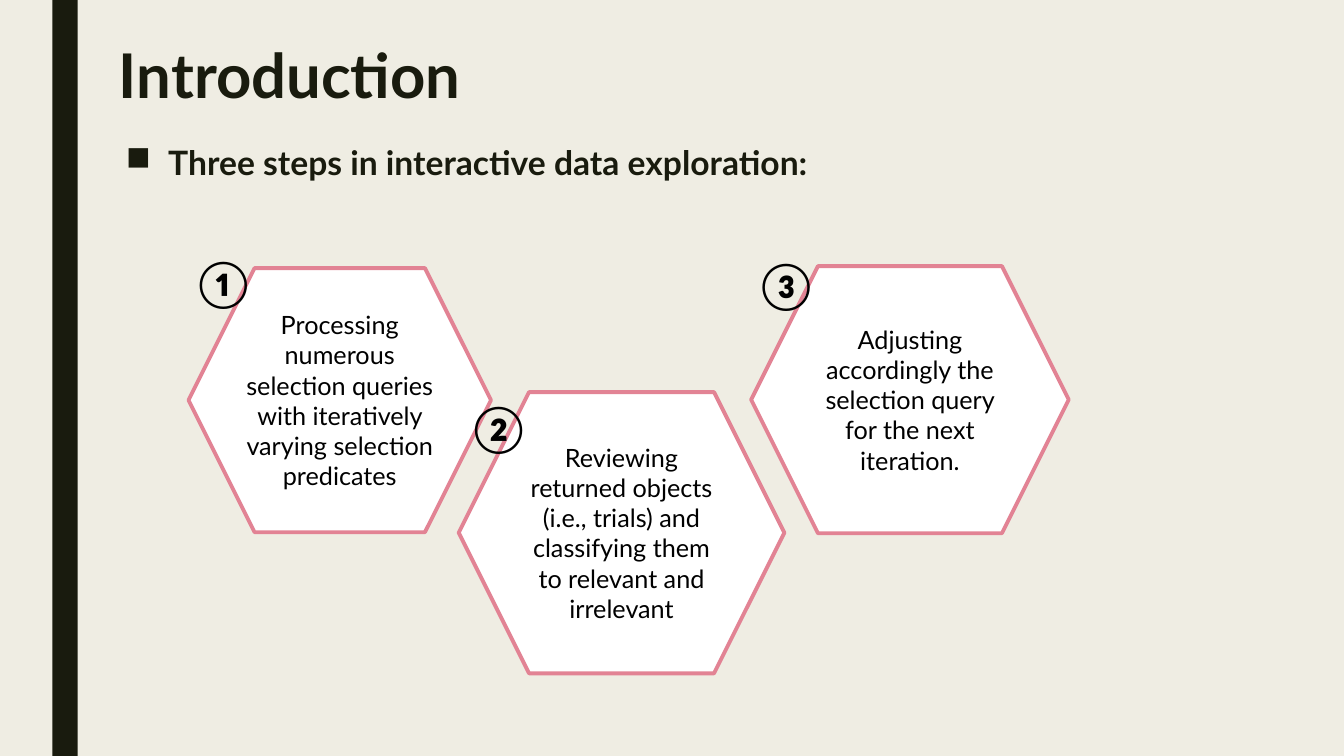
from dataclasses import dataclass

from lxml import etree
from pptx import Presentation
from pptx.dml.color import RGBColor
from pptx.enum import shapes, text
from pptx.oxml import ns
from pptx.util import Inches, Pt


@dataclass(frozen=True)
class Theme:
    font: str = "Lato"
    background: RGBColor = RGBColor(0xEF, 0xED, 0xE3)
    ink: RGBColor = RGBColor(0x19, 0x1B, 0x0E)
    black: RGBColor = RGBColor(0, 0, 0)
    white: RGBColor = RGBColor(0xFF, 0xFF, 0xFF)
    pink: RGBColor = RGBColor(0xE2, 0x83, 0x94)
    outline: float = 2.75
    title_size: int = 44
    lead_size: int = 24
    number_size: int = 32
    step_size: int = 18


@dataclass(frozen=True)
class Box:
    left: float
    top: float
    width: float
    height: float

    def lengths(self) -> tuple:
        return tuple(Inches(v) for v in (self.left, self.top, self.width, self.height))


@dataclass(frozen=True)
class Step:
    number: str
    label: str
    hexagon: Box
    number_box: Box


THEME = Theme()
STEPS = [
    Step("①", "Processing numerous selection queries with iteratively varying selection predicates",
         Box(1.87, 2.66, 3, 2.62), Box(1.87, 2.49, 1.98, 0.65)),
    Step("②", "Reviewing returned objects (i.e., trials) and classifying them to relevant and irrelevant",
         Box(4.55, 3.89, 3.23, 2.79), Box(4.6, 3.93, 0.46, 0.65)),
    Step("③", "Adjusting accordingly the selection query for the next iteration.",
         Box(7.45, 2.64, 3.15, 2.65), Box(7.45, 2.51, 1.31, 0.65)),
]


def write(sp, content: str, size: int, color: RGBColor, bold: bool = False,
          align=text.PP_ALIGN.LEFT, anchor=text.MSO_ANCHOR.TOP):
    """Fill a shape with one formatted paragraph and return the paragraph."""
    tf = sp.text_frame
    tf.text = content
    tf.word_wrap = True
    tf.vertical_anchor = anchor
    p = tf.paragraphs[0]
    p.alignment = align
    font = p.runs[0].font
    font.name = THEME.font
    font.size = Pt(size)
    font.bold = bold
    font.color.rgb = color
    return p


def add_filled(slide, kind, box: Box, fill: RGBColor):
    sp = slide.shapes.add_shape(kind, *box.lengths())
    sp.shadow.inherit = False
    sp.fill.solid()
    sp.fill.fore_color.rgb = fill
    sp.line.fill.background()
    return sp


def add_title(slide, box: Box, content: str) -> None:
    title = slide.shapes.title
    title.left, title.top, title.width, title.height = box.lengths()
    p = write(title, content, THEME.title_size, THEME.ink, bold=True)
    p.line_spacing = 0.89


def add_lead(slide, box: Box, content: str) -> None:
    """Add the bulleted line that introduces the steps."""
    sp = slide.shapes.add_textbox(*box.lengths())
    p = write(sp, content, THEME.lead_size, THEME.ink, bold=True)
    p.line_spacing = 0.94
    p.space_after = Pt(2)
    props = p._p.get_or_add_pPr()
    indent = Inches(0.42)
    props.set("marL", str(indent))
    props.set("indent", str(-indent))
    etree.SubElement(props, ns.qn("a:buChar")).set("char", "■")


def add_hexagon(slide, step: Step) -> None:
    sp = add_filled(slide, shapes.MSO_SHAPE.HEXAGON, step.hexagon, THEME.white)
    sp.line.color.rgb = THEME.pink
    sp.line.width = Pt(THEME.outline)
    write(sp, step.label, THEME.step_size, THEME.black,
          align=text.PP_ALIGN.CENTER, anchor=text.MSO_ANCHOR.MIDDLE)


def add_number(slide, step: Step) -> None:
    sp = slide.shapes.add_textbox(*step.number_box.lengths())
    write(sp, step.number, THEME.number_size, THEME.black, bold=True)


def main() -> None:
    prs = Presentation()
    prs.slide_width, prs.slide_height = Inches(13.33), Inches(7.5)
    slide = prs.slides.add_slide(prs.slide_layouts[5])
    slide.background.fill.solid()
    slide.background.fill.fore_color.rgb = THEME.background

    add_filled(slide, shapes.MSO_SHAPE.RECTANGLE, Box(0.52, 0, 0.25, 7.5), THEME.ink)
    add_title(slide, Box(1.08, 0.41, 10.5, 1), "Introduction")
    add_lead(slide, Box(1.15, 1.39, 7.68, 0.59), "Three steps in interactive data exploration:")
    for step in STEPS:
        add_hexagon(slide, step)
    for step in STEPS:
        add_number(slide, step)
    prs.save("out.pptx")


if __name__ == "__main__":
    main()
